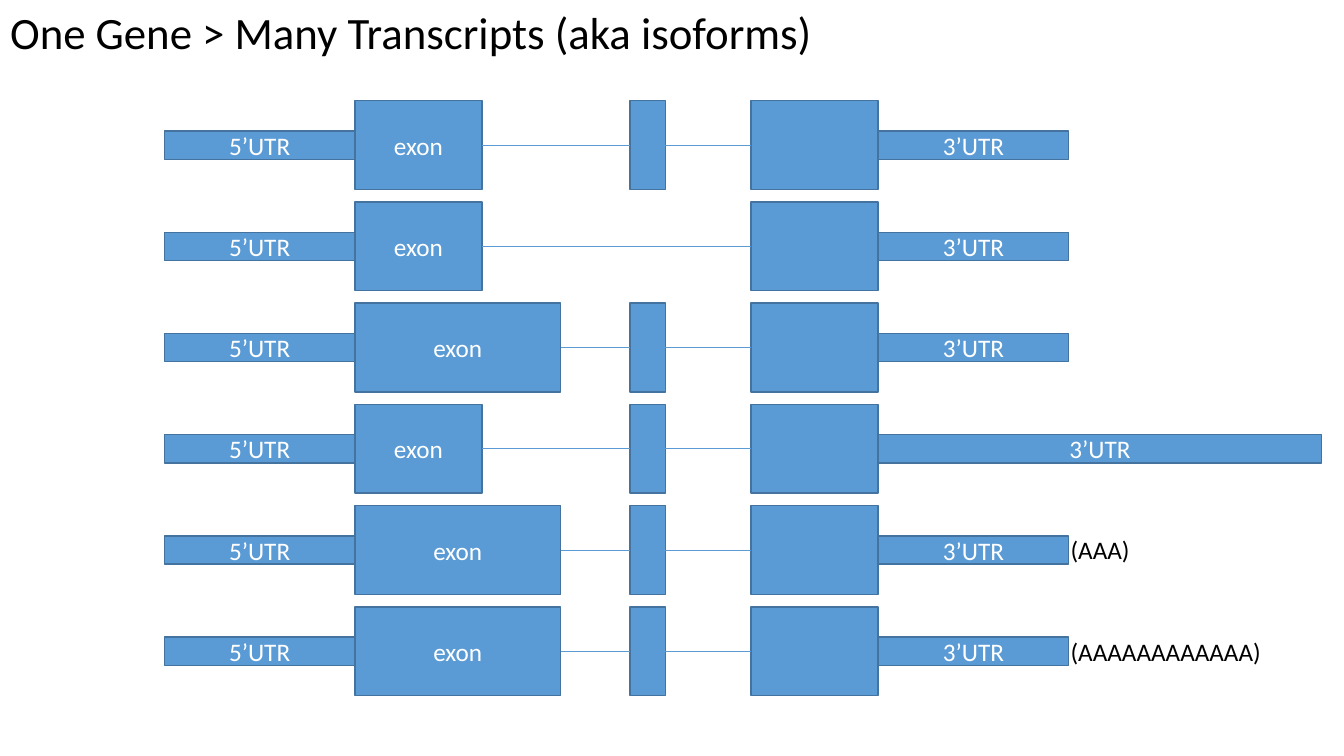
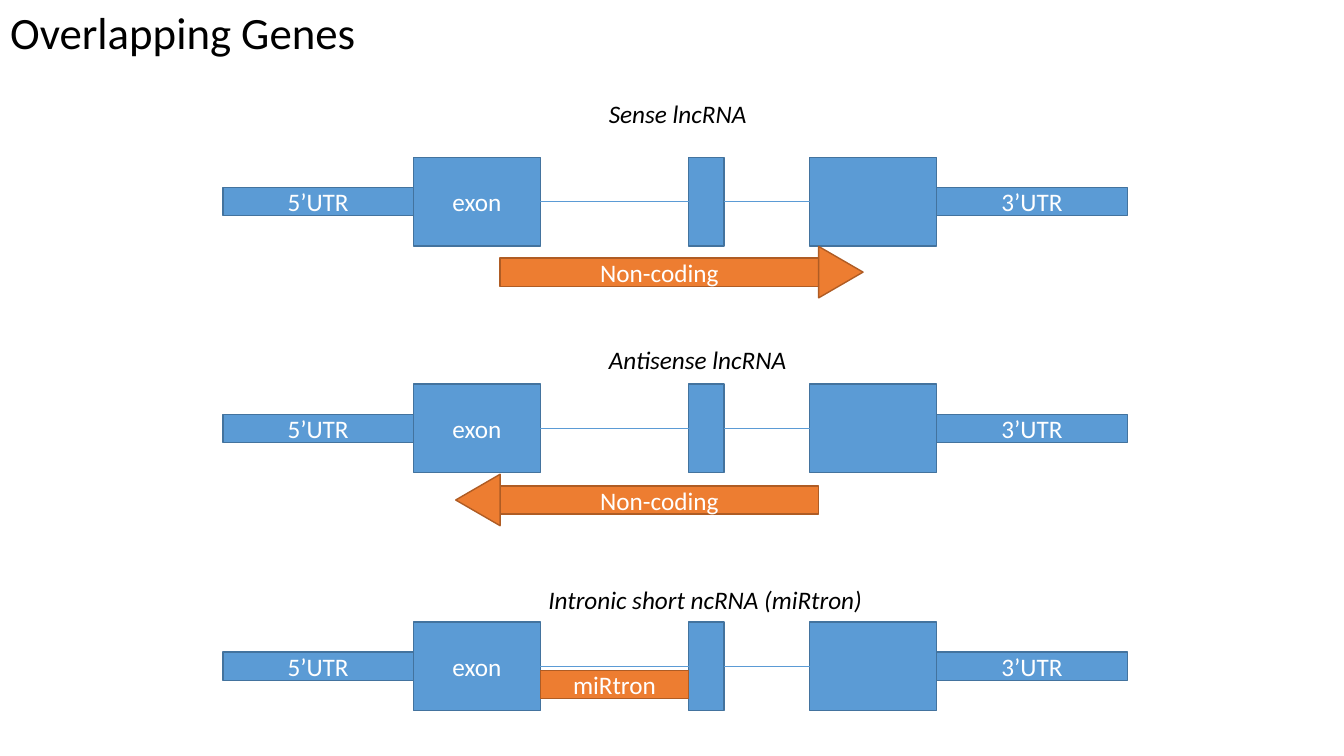
"""Build two slides on transcript isoforms and overlapping genes."""
from lxml import etree
from pptx import Presentation
from pptx import util as u
from pptx.dml.color import RGBColor
from pptx.enum import shapes, text
from pptx.oxml import ns

COLORS = {
    "gene": "5B9BD5", "gene_edge": "43739E",
    "noncoding": "ED7D31", "noncoding_edge": "AF5C24",
    "light": "FFFFFF", "dark": "000000",
}
FONT = "Calibri"
SLIDE_W, SLIDE_H = 13.33, 7.5
EXON_H, BAR_H = 0.88, 0.28
BAR_DROP = (EXON_H - BAR_H) / 2
UTR_W, LONG_UTR_W = 1.89, 4.4
EXON_W, LONG_EXON_W, SMALL_EXON_W = 1.26, 2.04, 0.35
SMALL_EXON_X, LAST_EXON_X = 4.62, 5.82
HEAD_W, HEAD_H = 0.51, 0.44


def color(name):
    """Return the named colour."""
    return RGBColor.from_string(COLORS[name])


def inches(*lengths):
    """Convert lengths in inches."""
    return [u.Inches(length) for length in lengths]


def write(frame, words, size=18, ink="dark", italic=False,
          align=text.PP_ALIGN.LEFT, anchor=text.MSO_ANCHOR.TOP, wrap=False):
    """Put one formatted paragraph in a text frame."""
    frame.word_wrap = wrap
    frame.vertical_anchor = anchor
    paragraph = frame.paragraphs[0]
    paragraph.alignment = align
    run = paragraph.add_run()
    run.text = words
    run.font.name = FONT
    run.font.size = u.Pt(size)
    run.font.italic = italic
    run.font.color.rgb = color(ink)


def add_titled_slide(deck, words, width):
    """Add a slide with its title at the top left."""
    slide = deck.slides.add_slide(deck.slide_layouts.get_by_name("Title Only"))
    title = slide.shapes.title
    title.left, title.top, title.width, title.height = inches(0, 0, width, 0.64)
    title.text_frame.auto_size = text.MSO_AUTO_SIZE.NONE
    write(title.text_frame, words, size=32)
    return slide


def add_label(parent, words, x, y, width, **style):
    """Add a one-line label."""
    label = parent.shapes.add_textbox(*inches(x, y, width, 0.4))
    write(label.text_frame, words, **style)


def add_block(parent, x, y, width, height, words="", paint="gene",
              preset=shapes.MSO_SHAPE.RECTANGLE):
    """Add a filled and outlined block, with centred words if any."""
    block = parent.shapes.add_shape(preset, *inches(x, y, width, height))
    block.shadow.inherit = False
    block.fill.solid()
    block.fill.fore_color.rgb = color(paint)
    block.line.color.rgb = color(paint + "_edge")
    block.line.width = u.Pt(1)
    if words:
        write(block.text_frame, words, ink="light", wrap=True,
              align=text.PP_ALIGN.CENTER, anchor=text.MSO_ANCHOR.MIDDLE)
    return block


def add_intron(parent, before, after):
    """Join two neighbouring exons with a thin line."""
    middle = before.top + before.height // 2
    intron = parent.shapes.add_connector(
        shapes.MSO_CONNECTOR.STRAIGHT,
        before.left + before.width, middle, after.left, middle)
    intron.begin_connect(before, 3)
    intron.end_connect(after, 1)
    intron.line.color.rgb = color("gene")
    intron.line.width = u.Pt(0.5)
    properties = intron.element.find(ns.qn("p:spPr"))
    etree.SubElement(properties, ns.qn("a:effectLst"))


def add_transcript(slide, x, y, first_w=EXON_W, small=True, utr_w=UTR_W, tail=None):
    """Add one transcript as a group of UTRs, exons and introns."""
    transcript = slide.shapes.add_group_shape()
    add_block(transcript, x, y + BAR_DROP, UTR_W, BAR_H, "5’UTR")
    exons = [add_block(transcript, x + UTR_W, y, first_w, EXON_H, "exon")]
    if small:
        exons.append(add_block(transcript, x + SMALL_EXON_X, y, SMALL_EXON_W, EXON_H))
    exons.append(add_block(transcript, x + LAST_EXON_X, y, EXON_W, EXON_H))
    for before, after in zip(exons, exons[1:]):
        add_intron(transcript, before, after)
    utr_x = x + LAST_EXON_X + EXON_W
    add_block(transcript, utr_x, y + BAR_DROP, utr_w, BAR_H, "3’UTR")
    if tail:
        words, width = tail
        add_label(transcript, words, utr_x + utr_w - 0.08, y + 0.24, width)
    return transcript


def add_noncoding(transcript, x, y, width, words, direction=0):
    """Add a non-coding bar, with an arrowhead when it has a direction."""
    add_block(transcript, x, y, width, BAR_H, words, "noncoding")
    if direction:
        end = x + width if direction > 0 else x
        head = add_block(transcript, end + direction * HEAD_H / 2 - HEAD_W / 2,
                         y + BAR_H / 2 - HEAD_H / 2, HEAD_W, HEAD_H,
                         paint="noncoding", preset=shapes.MSO_SHAPE.ISOSCELES_TRIANGLE)
        head.rotation = 90 * direction % 360


def build_isoforms(deck):
    """Build the slide of six isoforms of one gene."""
    slide = add_titled_slide(deck, "One Gene > Many Transcripts (aka isoforms)", 8.24)
    isoforms = [
        {},
        {"small": False},
        {"first_w": LONG_EXON_W},
        {"utr_w": LONG_UTR_W},
        {"first_w": LONG_EXON_W, "tail": ("(AAA)", 0.79)},
        {"first_w": LONG_EXON_W, "tail": ("(AAAAAAAAAAAA)", 2.1)},
    ]
    pitch = 5.02 / (len(isoforms) - 1)
    for row, isoform in enumerate(isoforms):
        add_transcript(slide, 1.63, 1 + row * pitch, **isoform)


def build_overlaps(deck):
    """Build the slide of three non-coding genes that overlap a gene."""
    slide = add_titled_slide(deck, "Overlapping Genes", 3.67)
    gene_x = 2.21
    intron_x = gene_x + UTR_W + EXON_W
    intron_w = gene_x + SMALL_EXON_X - intron_x
    overlaps = [
        (1.56, ("Sense lncRNA", 5.94, 0.93, 1.6),
         (4.96, 2.56, 3.16, "Non-coding", 1)),
        (3.81, ("Antisense lncRNA", 5.94, 3.37, 1.98),
         (4.96, 4.82, 3.16, "Non-coding", -1)),
        (6.17, ("Intronic short ncRNA (miRtron)", 5.34, 5.75, 3.34),
         (intron_x, 6.65, intron_w, "miRtron")),
    ]
    for y, caption, noncoding in overlaps:
        transcript = add_transcript(slide, gene_x, y)
        add_noncoding(transcript, *noncoding)
        add_label(slide, *caption, italic=True)


def main():
    """Build and save the deck."""
    deck = Presentation()
    deck.slide_width, deck.slide_height = inches(SLIDE_W, SLIDE_H)
    build_isoforms(deck)
    build_overlaps(deck)
    deck.save("out.pptx")


if __name__ == "__main__":
    main()
